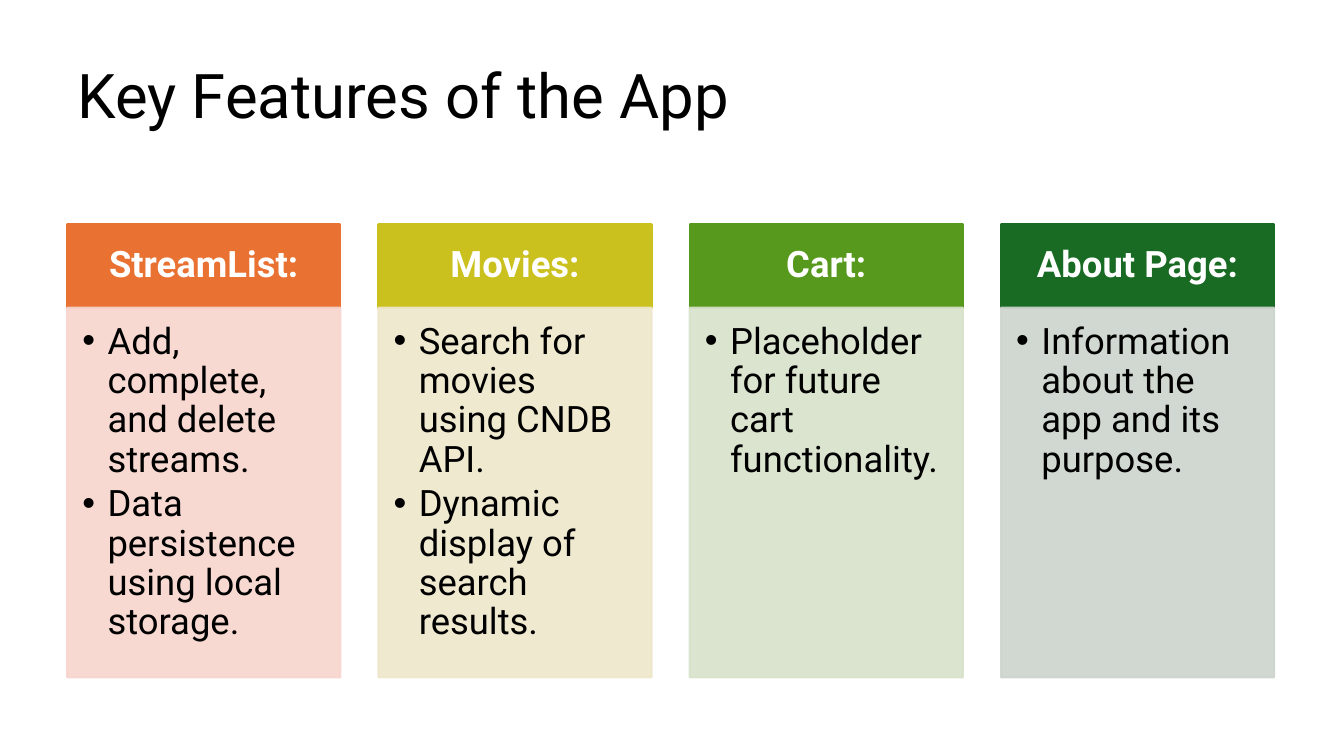
"""Build the slide that lists the key features of the app in four cards."""
from dataclasses import dataclass

from lxml.etree import SubElement
from pptx import Presentation
from pptx.dml.color import RGBColor
from pptx.dml.fill import FillFormat
from pptx.enum.shapes import MSO_SHAPE as Preset
from pptx.enum.text import MSO_ANCHOR as Anchor, MSO_AUTO_SIZE as AutoSize, PP_ALIGN as Align
from pptx.oxml.ns import qn
from pptx.shapes.autoshape import Shape
from pptx.slide import Slide
from pptx.text.text import TextFrame
from pptx.util import Inches, Pt

WIDTH, HEIGHT = Inches(13.33), Inches(7.5)
LEFT, CONTENT = 5, 89.8
TITLE_TOP, TITLE_ROWS = 8, 16.5
CARD_TOP, HEADER_ROWS, BODY_ROWS = 29.7, 11, 48.9
GAP_SHARE = 0.14
FONT = "Roboto"
COLOURS = {
    "ink": "000000", "paper": "FFFFFF",
    "orange": "E97132", "peach": "F7D5CE",
    "mustard": "CBC11E", "cream": "EEE7CB",
    "lime": "56991D", "mint": "D8E2CA",
    "forest": "196B24", "mist": "CCD4CD",
}


@dataclass(frozen=True)
class Card:
    heading: str
    points: tuple[str, ...]
    header_colour: str
    body_colour: str


CARDS = (
    Card("StreamList:", ("Add, complete, and delete streams.",
                         "Data persistence using local storage."), "orange", "peach"),
    Card("Movies:", ("Search for movies using CNDB API.",
                     "Dynamic display of search results."), "mustard", "cream"),
    Card("Cart:", ("Placeholder for future cart functionality.",), "lime", "mint"),
    Card("About Page:", ("Information about the app and its purpose.",), "forest", "mist"),
)


def columns(count: float) -> int:
    """Convert hundredths of the slide width to a length."""
    return round(WIDTH * count / 100)


def rows(count: float) -> int:
    """Convert hundredths of the slide height to a length."""
    return round(HEIGHT * count / 100)


def paint(fill: FillFormat, colour: str, opacity: int) -> None:
    """Apply a solid colour with the given opacity in percent."""
    fill.solid()
    fill.fore_color.rgb = RGBColor.from_string(COLOURS[colour])
    if opacity < 100:
        for tint in fill._xPr.iter(qn("a:srgbClr")):
            SubElement(tint, qn("a:alpha"), val=str(opacity * 1000))


def set_frame(frame: TextFrame, anchor: Anchor, insets: tuple[float, ...]) -> None:
    """Set the wrapping, anchor and insets of a text frame."""
    frame.word_wrap = True
    frame.auto_size = AutoSize.NONE
    frame.vertical_anchor = anchor
    (frame.margin_left, frame.margin_top,
     frame.margin_right, frame.margin_bottom) = map(Inches, insets)


def write(frame: TextFrame, lines: tuple[str, ...], size: int, colour: str,
          align: Align = Align.LEFT, bold: bool = False, bulleted: bool = False) -> None:
    """Write one paragraph per line."""
    for index, line in enumerate(lines):
        para = frame.add_paragraph() if index else frame.paragraphs[0]
        para.alignment = align
        para.line_spacing = 0.9
        para.space_before = Pt(0)
        para.space_after = Pt(4 if bulleted else 0)
        span = para.add_run()
        span.text = line
        span.font.name, span.font.size, span.font.bold = FONT, Pt(size), bold
        span.font.color.rgb = RGBColor.from_string(COLOURS[colour])
        if bulleted:
            layout = para._p.get_or_add_pPr()
            layout.set("marL", str(Inches(0.25)))
            layout.set("indent", str(-Inches(0.25)))
            SubElement(layout, qn("a:buFont"), typeface="Arial")
            SubElement(layout, qn("a:buChar"), char="•")


def add_panel(page: Slide, left: float, top: float, width: float, height: float,
              colour: str, opacity: int = 100) -> Shape:
    """Add a rectangle whose outline matches its fill."""
    box = page.shapes.add_shape(Preset.RECTANGLE, columns(left), rows(top),
                                columns(width), rows(height))
    box.shadow.inherit = False
    paint(box.fill, colour, opacity)
    box.line.width = Pt(1.5)
    paint(box.line.fill, colour, opacity)
    return box


def add_card(page: Slide, card: Card, left: float, width: float) -> None:
    """Add a heading band with its list of points below."""
    header = add_panel(page, left, CARD_TOP, width, HEADER_ROWS, card.header_colour)
    set_frame(header.text_frame, Anchor.MIDDLE, (0.2, 0.12, 0.2, 0.12))
    write(header.text_frame, (card.heading,), 26, "paper", Align.CENTER, bold=True)
    body = add_panel(page, left, CARD_TOP + HEADER_ROWS, width, BODY_ROWS,
                     card.body_colour, opacity=90)
    set_frame(body.text_frame, Anchor.TOP, (0.15, 0.15, 0.2, 0.23))
    write(body.text_frame, card.points, 26, "ink", bulleted=True)


def add_title(page: Slide, text: str) -> None:
    """Place and format the title placeholder."""
    title = page.shapes.title
    title.left, title.top = columns(LEFT), rows(TITLE_TOP)
    title.width, title.height = columns(CONTENT), rows(TITLE_ROWS)
    set_frame(title.text_frame, Anchor.TOP, (0.1, 0.05, 0.1, 0.05))
    write(title.text_frame, (text,), 44, "ink")


def main() -> None:
    """Create and save the deck."""
    deck = Presentation()
    deck.slide_width, deck.slide_height = WIDTH, HEIGHT
    page = deck.slides.add_slide(deck.slide_layouts[5])
    add_title(page, "Key Features of the App")
    width = CONTENT / (len(CARDS) + (len(CARDS) - 1) * GAP_SHARE)
    for index, card in enumerate(CARDS):
        add_card(page, card, LEFT + index * width * (1 + GAP_SHARE), width)
    deck.save("out.pptx")


if __name__ == "__main__":
    main()
